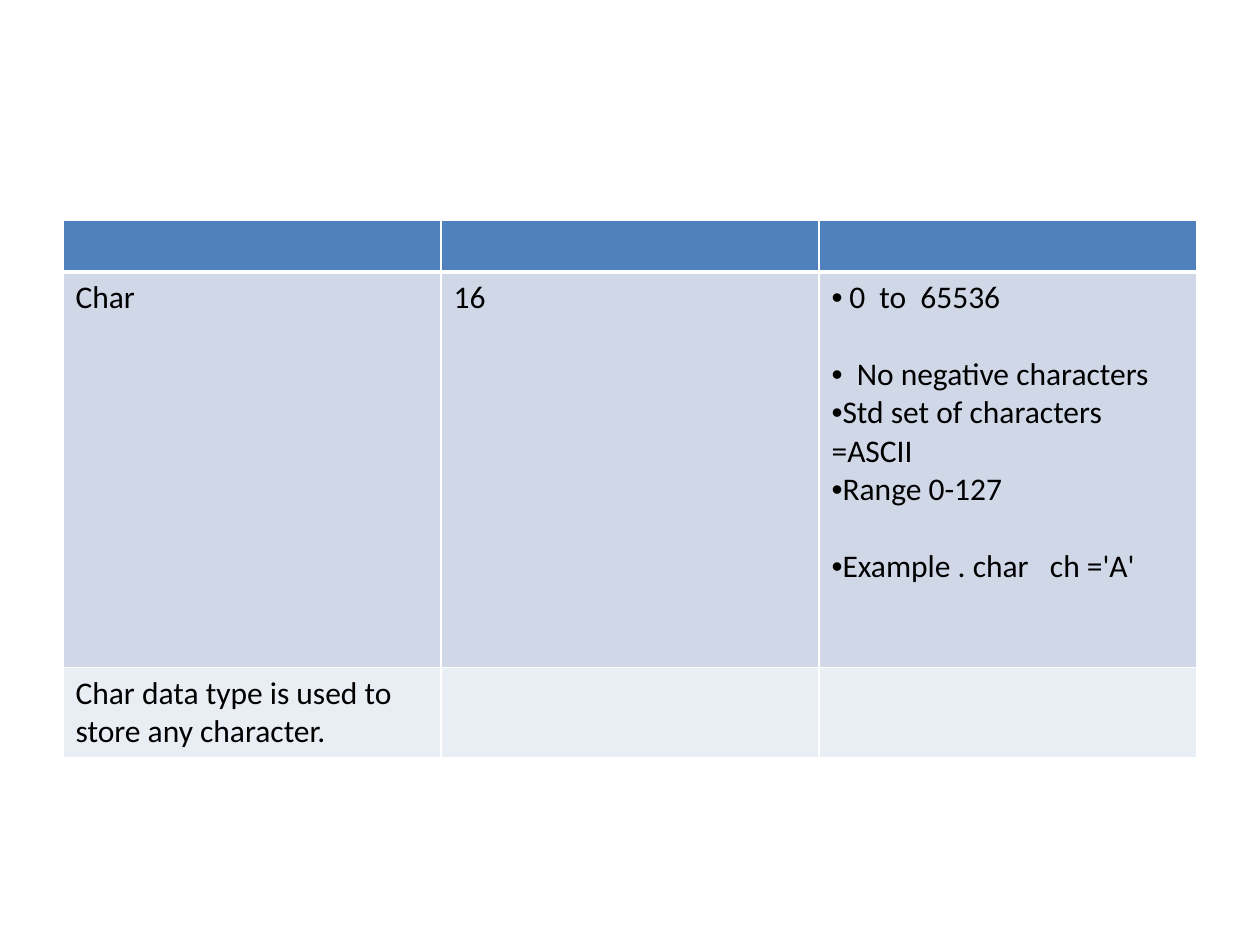
"""Build a slide with a table describing the char data type."""
from dataclasses import dataclass

from lxml.etree import SubElement
from pptx import Presentation
from pptx.dml.color import RGBColor
from pptx.oxml.ns import qn
from pptx.table import _Cell as Cell
from pptx.util import Inches, Pt

HEADER_BLUE = RGBColor(0x4F, 0x81, 0xBD)
BAND_DARK = RGBColor(0xD0, 0xD8, 0xE8)
BAND_LIGHT = RGBColor(0xE9, 0xED, 0xF4)
WHITE = RGBColor(0xFF, 0xFF, 0xFF)
BLACK = RGBColor(0x00, 0x00, 0x00)
LINE_GAP = 22


@dataclass(frozen=True)
class Entry:
    text: str
    bullet: bool = False
    indent: float = 0
    gap: float = 0


@dataclass(frozen=True)
class Row:
    height: float
    fill: RGBColor
    cells: tuple[tuple[Entry, ...], ...]
    bottom_border: float = 1


CHAR_FACTS = (
    Entry("0  to  65536", True, 0.14),
    Entry("No negative characters", True, 0.2, LINE_GAP),
    Entry("Std set of characters =ASCII", True),
    Entry("Range 0-127", True),
    Entry("Example . char   ch ='A'", True, gap=LINE_GAP),
)
ROWS = (
    Row(0.41, HEADER_BLUE, ((), (), ()), 3),
    Row(3.14, BAND_DARK, ((Entry("Char"),), (Entry("16"),), CHAR_FACTS)),
    Row(0.7, BAND_LIGHT,
        ((Entry("Char data type is used to store any character."),), (), ())),
)


def add_border(cell: Cell, side: str, width: float) -> None:
    line = SubElement(cell._tc.get_or_add_tcPr(), qn(f"a:ln{side}"), w=str(Pt(width)))
    solid = SubElement(line, qn("a:solidFill"))
    SubElement(solid, qn("a:srgbClr"), val=str(WHITE))


def write_entries(cell: Cell, entries: tuple[Entry, ...]) -> None:
    frame = cell.text_frame
    for position, entry in enumerate(entries):
        paragraph = frame.add_paragraph() if position else frame.paragraphs[0]
        paragraph.text = entry.text
        paragraph.space_before = Pt(entry.gap)
        paragraph.font.name = "Calibri"
        paragraph.font.size = Pt(18)
        paragraph.font.color.rgb = BLACK
        if entry.bullet:
            properties = paragraph._p.get_or_add_pPr()
            properties.set("marL", str(Inches(entry.indent)))
            properties.set("indent", str(-Inches(entry.indent)))
            bullet_font = SubElement(properties, qn("a:buFont"), typeface="Arial")
            bullet = SubElement(properties, qn("a:buChar"), char="•")
            defaults = properties.find(qn("a:defRPr"))
            defaults.addprevious(bullet_font)
            defaults.addprevious(bullet)


def fill_row(cells: list[Cell], row: Row, top_border: float) -> None:
    for cell, entries in zip(cells, row.cells):
        for side, width in zip("LRTB", (1, 1, top_border, row.bottom_border)):
            add_border(cell, side, width)
        cell.fill.solid()
        cell.fill.fore_color.rgb = row.fill
        write_entries(cell, entries)


def main() -> None:
    deck = Presentation()
    deck.slide_width, deck.slide_height = Inches(10), Inches(7.5)
    slide = deck.slides.add_slide(deck.slide_layouts[6])
    height = sum(row.height for row in ROWS)
    char_table = slide.shapes.add_table(
        len(ROWS), 3, Inches(0.5), Inches(1.75), Inches(9), Inches(height)
    ).table
    top_border = 1
    for table_row, row in zip(char_table.rows, ROWS):
        table_row.height = Inches(row.height)
        fill_row(list(table_row.cells), row, top_border)
        top_border = row.bottom_border
    deck.save("out.pptx")


main()
